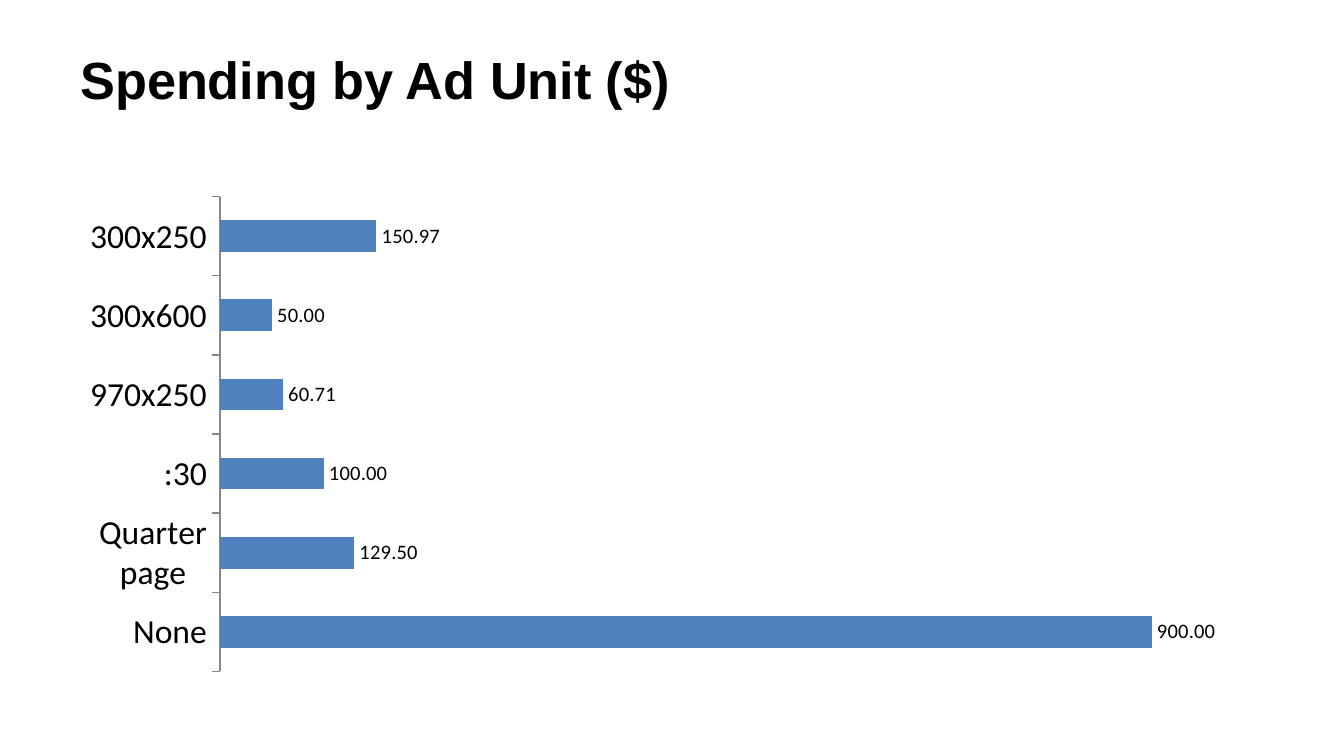
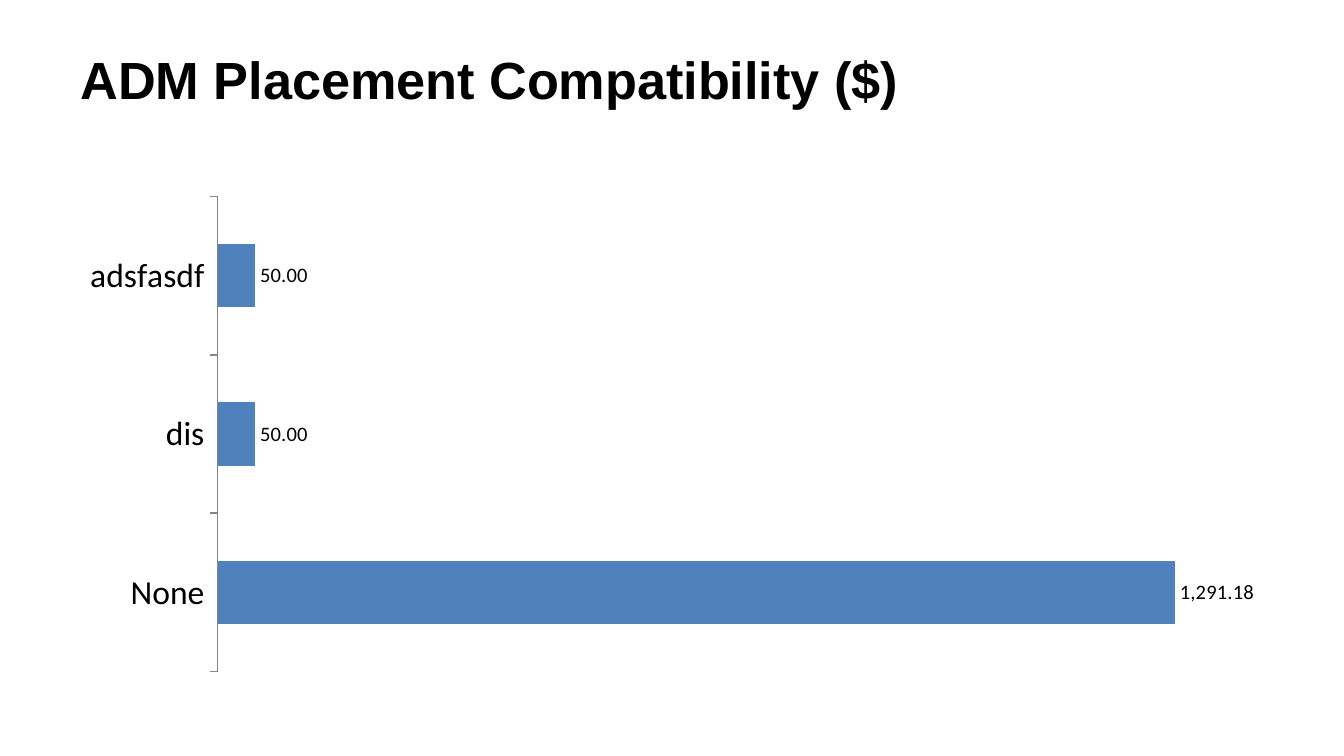
from pptx import Presentation
from pptx.chart.data import CategoryChartData
from pptx.dml.color import RGBColor
from pptx.enum import chart as charts, text
from pptx.util import Inches, Pt

BLACK = RGBColor(0x00, 0x00, 0x00)
BAR_BLUE = RGBColor(0x4F, 0x81, 0xBD)
AXIS_GRAY = RGBColor(0x86, 0x86, 0x86)

TITLE_BOX = (0.5, 0.3, 9, 1.09)
CHART_BOX = (0.49, 1.39, 9.03, 3.68)

SPENDING_SLIDES = [
    ("Spending by Ad Unit ($)", {
        "300x250": 150.97,
        "300x600": 50,
        "970x250": 60.71,
        ":30": 100,
        "Quarter page": 129.5,
        "None": 900,
    }),
    ("ADM Placement Compatibility ($)", {
        "adsfasdf": 50,
        "dis": 50,
        "None": 1291.18,
    }),
]


def style_font(font, name, size, bold=False):
    font.name = name
    font.size = Pt(size)
    font.bold = bold
    font.color.rgb = BLACK


def add_title(slide, box, title):
    frame = slide.shapes.add_textbox(*map(Inches, box)).text_frame
    frame.word_wrap = True
    frame.vertical_anchor = text.MSO_ANCHOR.TOP
    paragraph = frame.paragraphs[0]
    paragraph.text = title
    style_font(paragraph.font, "Arial", 28, bold=True)


def add_spending_chart(slide, box, spending):
    """Draw one horizontal bar per category, first category on top."""
    data = CategoryChartData(number_format="#,##0.00")
    data.categories = list(spending)
    data.add_series("Series 1", list(spending.values()))
    chart = slide.shapes.add_chart(
        charts.XL_CHART_TYPE.BAR_CLUSTERED, *map(Inches, box), data).chart
    chart.has_legend = False
    chart.has_title = False
    style_font(chart.font, "Calibri", 18)

    category_axis = chart.category_axis
    category_axis.reverse_order = True
    category_axis.major_tick_mark = charts.XL_TICK_MARK.OUTSIDE
    category_axis.format.line.color.rgb = AXIS_GRAY
    category_axis.format.line.width = Pt(0.75)
    chart.value_axis.visible = False
    chart.value_axis.has_major_gridlines = False
    chart.value_axis.minimum_scale = 0

    plot = chart.plots[0]
    plot.gap_width = 150
    plot.vary_by_categories = False
    series = plot.series[0]
    series.format.fill.solid()
    series.format.fill.fore_color.rgb = BAR_BLUE

    labels = series.data_labels
    labels.show_value = True
    labels.number_format = "#,##0.00"
    labels.number_format_is_linked = False
    labels.position = charts.XL_LABEL_POSITION.OUTSIDE_END
    style_font(labels.font, "Calibri", 11)


def main():
    presentation = Presentation()
    presentation.slide_width = Inches(10)
    presentation.slide_height = presentation.slide_width * 9 // 16
    blank_layout = presentation.slide_layouts[6]
    for title, spending in SPENDING_SLIDES:
        slide = presentation.slides.add_slide(blank_layout)
        add_title(slide, TITLE_BOX, title)
        add_spending_chart(slide, CHART_BOX, spending)
    presentation.save("out.pptx")


if __name__ == "__main__":
    main()
